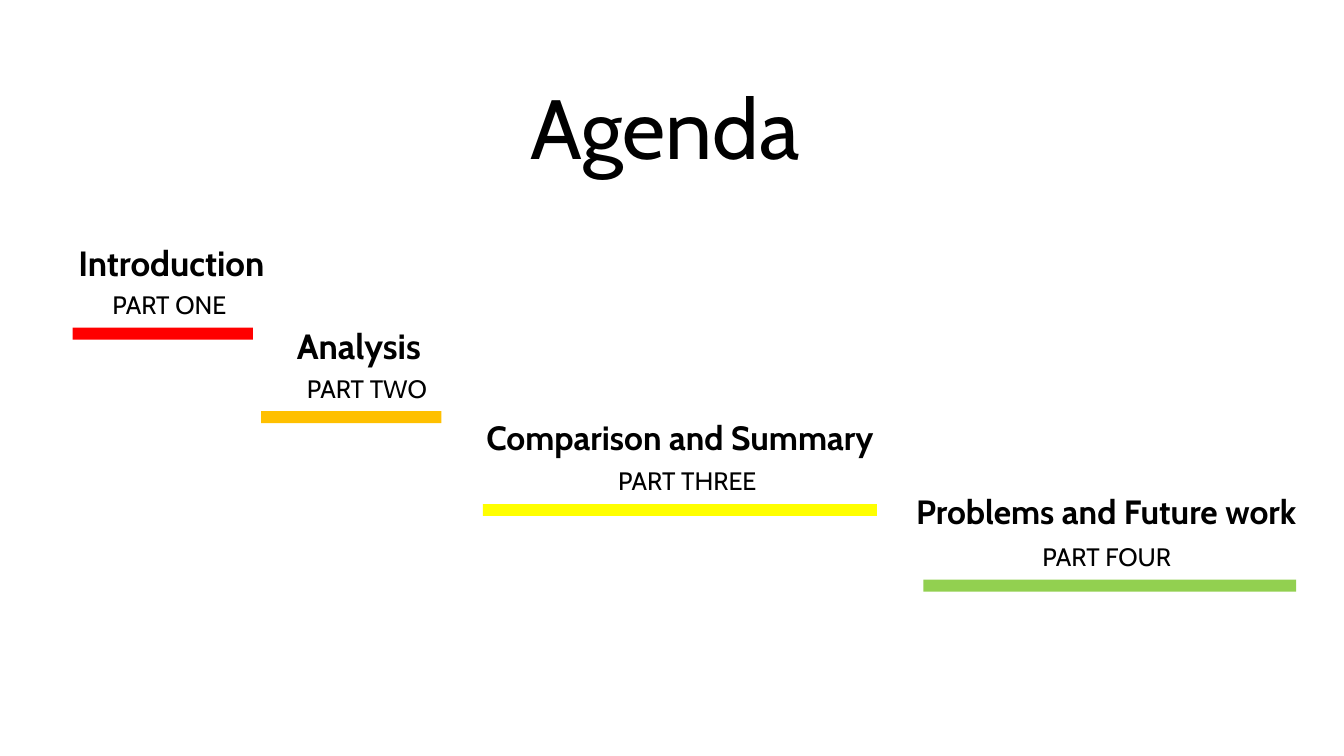
from pptx import Presentation
from pptx.dml.color import RGBColor
from pptx.enum.shapes import MSO_SHAPE as Shape
from pptx.enum.text import PP_ALIGN as Align
from pptx.util import Pt

FONT = "Cabin"
BLACK = "000000"
HEADING = ("Agenda", (371.5, 50.4, 238.3, 108.7))
SECTIONS = [
    {"topic": "Introduction", "part": "PART ONE", "color": "FF0000", "part_at": (63.4, 196.6),
     "topic_x": (46.1, 152.6), "bar_x": (51.8, 128.9), "size": 25},
    {"topic": "Analysis", "part": "PART TWO", "color": "FFC000", "part_at": (204.5, 256.3),
     "topic_x": (187.2, 138.2), "bar_x": (186.5, 128.9), "size": 25},
    {"topic": "Comparison and Summary", "part": "PART THREE", "color": "FFFF00", "part_at": (433.4, 322.6),
     "topic_x": (334.8, 301.7), "bar_x": (344.9, 281.5), "size": 24},
    {"topic": "Problems and Future work", "part": "PART FOUR", "color": "92D050", "part_at": (733, 376.6),
     "topic_x": (647.3, 294.5), "bar_x": (659.5, 266.4), "size": 24,
     "rise": 44, "align": Align.LEFT, "spacing": 1.5},
]
TOPIC_RISE, TOPIC_HEIGHT = 36.7, 46.8
PART_WIDTH, PART_HEIGHT = 115.2, 35.3
BAR_DROP, BAR_HEIGHT = 37.4, 8.6


def rgb(color):
    return RGBColor.from_string(color)


def add_text(slide, words, box, size, bold=False, align=Align.CENTER, spacing=1.3):
    frame = slide.shapes.add_textbox(*map(Pt, box)).text_frame
    frame.word_wrap = True
    line = frame.paragraphs[0]
    for name, value in {"alignment": align, "line_spacing": spacing}.items():
        setattr(line, name, value)
    run = line.add_run()
    run.text = words
    for name, value in {"name": FONT, "size": Pt(size), "bold": bold}.items():
        setattr(run.font, name, value)
    run.font.color.rgb = rgb(BLACK)


def add_bar(slide, box, color):
    bar = slide.shapes.add_shape(Shape.RECTANGLE, *map(Pt, box))
    bar.shadow.inherit = False
    bar.fill.solid()
    bar.fill.fore_color.rgb = rgb(color)
    bar.line.fill.background()


def add_section(slide, section):
    left, top = section["part_at"]
    topic_left, topic_width = section["topic_x"]
    bar_left, bar_width = section["bar_x"]
    topic_top = top - section.get("rise", TOPIC_RISE)
    add_text(slide, section["topic"], (topic_left, topic_top, topic_width, TOPIC_HEIGHT),
             section["size"], True, section.get("align", Align.CENTER), section.get("spacing", 1.3))
    add_text(slide, section["part"], (left, top, PART_WIDTH, PART_HEIGHT), 18)
    add_bar(slide, (bar_left, top + BAR_DROP, bar_width, BAR_HEIGHT), section["color"])


def main():
    deck = Presentation()
    deck.slide_width, deck.slide_height = Pt(960), Pt(540)
    agenda = deck.slides.add_slide(deck.slide_layouts[6])
    add_text(agenda, *HEADING, 60, align=Align.LEFT, spacing=1.0)
    for section in SECTIONS:
        add_section(agenda, section)
    deck.save("out.pptx")


if __name__ == "__main__":
    main()
